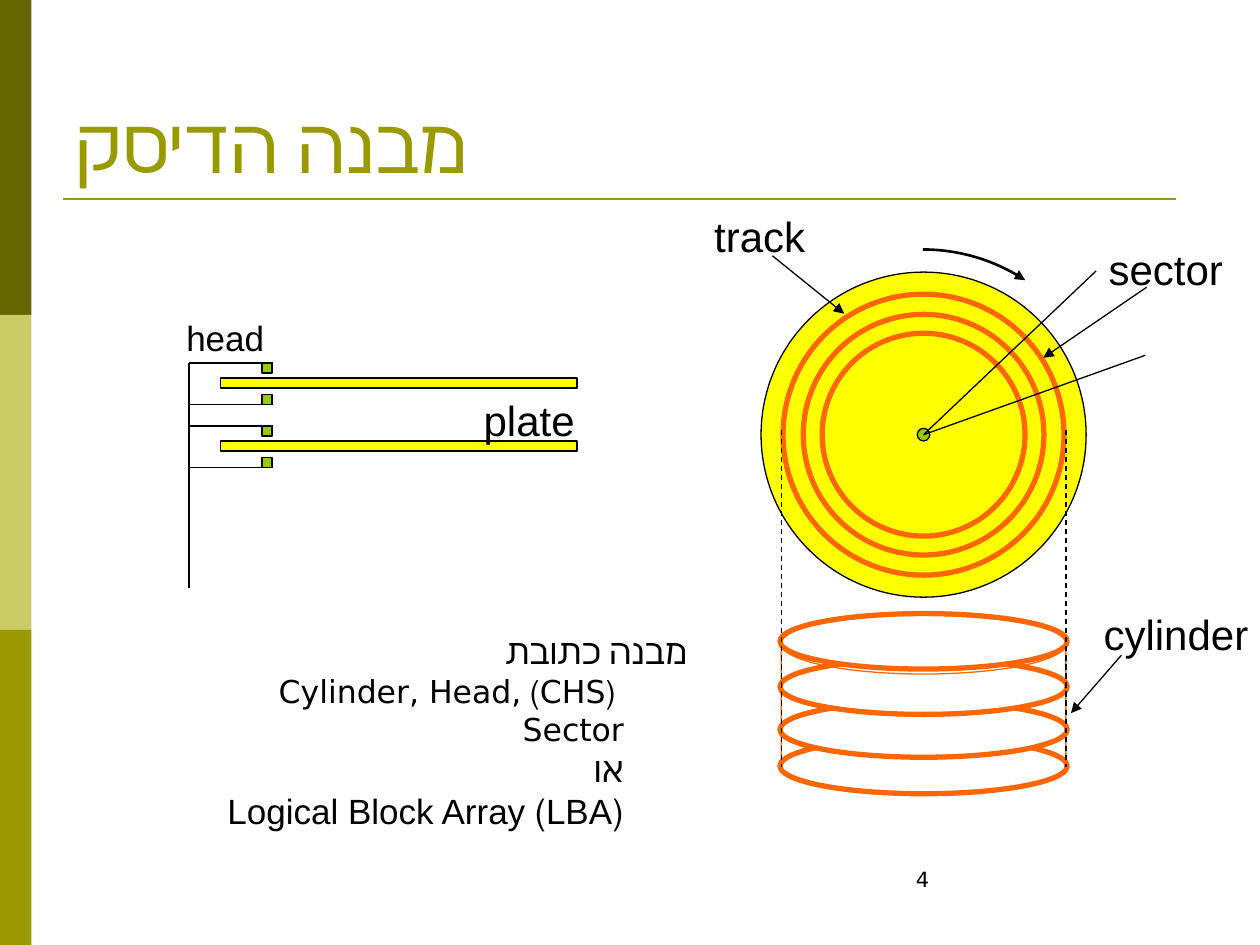
from lxml import etree
from pptx import Presentation
from pptx.dml.color import RGBColor
from pptx.enum.dml import MSO_LINE
from pptx.enum.shapes import MSO_CONNECTOR, MSO_SHAPE
from pptx.enum.text import MSO_ANCHOR, MSO_AUTO_SIZE, PP_ALIGN
from pptx.oxml.ns import qn
from pptx.util import Inches, Pt

BLACK = RGBColor(0x00, 0x00, 0x00)
WHITE = RGBColor(0xFF, 0xFF, 0xFF)
DARK_OLIVE = RGBColor(0x66, 0x66, 0x00)
PALE_OLIVE = RGBColor(0xCC, 0xCC, 0x66)
OLIVE = RGBColor(0x99, 0x99, 0x00)
YELLOW = RGBColor(0xFF, 0xFF, 0x00)
GREEN = RGBColor(0x99, 0xCC, 0x00)
ORANGE = RGBColor(0xFF, 0x66, 0x00)


def add_text(p, text, font="Arial", size=24, color=BLACK, align=PP_ALIGN.LEFT,
             rtl=False, indent=0):
    p.alignment = align
    pPr = p._p.get_or_add_pPr()
    if rtl:
        pPr.set("rtl", "1")
    if indent:
        pPr.set("marL", str(Inches(indent)))
        pPr.set("indent", "0")
    r = p.add_run()
    r.text = text
    r.font.name = font
    r.font.size = Pt(size)
    r.font.color.rgb = color


class DiskSlide:
    thin = 0.75
    thick = 3

    def __init__(self, prs):
        self.s = prs.slides.add_slide(prs.slide_layouts[6])

    def shape(self, kind, x, y, w, h, fill=None, line=None, width=thin):
        sp = self.s.shapes.add_shape(kind, Inches(x), Inches(y), Inches(w), Inches(h))
        sp.shadow.inherit = False
        if fill is None:
            sp.fill.background()
        else:
            sp.fill.solid()
            sp.fill.fore_color.rgb = fill
        if line is None:
            sp.line.fill.background()
        else:
            sp.line.color.rgb = line
            sp.line.width = Pt(width)
        return sp

    def rect(self, *box, **style):
        return self.shape(MSO_SHAPE.RECTANGLE, *box, **style)

    def ellipse(self, *box, **style):
        return self.shape(MSO_SHAPE.OVAL, *box, **style)

    def circle(self, cx, cy, d, **style):
        return self.ellipse(cx - d / 2, cy - d / 2, d, d, **style)

    def arrowhead(self, sp):
        etree.SubElement(sp.line._get_or_add_ln(), qn("a:tailEnd"), type="triangle")

    def line(self, x1, y1, x2, y2, color=BLACK, width=thin, dash=False, arrow=False):
        c = self.s.shapes.add_connector(MSO_CONNECTOR.STRAIGHT, Inches(x1), Inches(y1),
                                        Inches(x2), Inches(y2))
        c.line.color.rgb = color
        c.line.width = Pt(width)
        if dash:
            c.line.dash_style = MSO_LINE.DASH
        if arrow:
            self.arrowhead(c)
        etree.SubElement(c._element.spPr, qn("a:effectLst"))

    def box(self, x, y, w, h, wrap=True, anchor=MSO_ANCHOR.TOP):
        tf = self.s.shapes.add_textbox(Inches(x), Inches(y), Inches(w), Inches(h)).text_frame
        tf.word_wrap = wrap
        tf.vertical_anchor = anchor
        return tf

    def label(self, text, x, y, w, h=0.5, **style):
        tf = self.box(x, y, w, h, wrap=False)
        tf.auto_size = MSO_AUTO_SIZE.SHAPE_TO_FIT_TEXT
        add_text(tf.paragraphs[0], text, **style)


def main():
    prs = Presentation()
    prs.slide_width, prs.slide_height = Inches(10), Inches(7.5)
    d = DiskSlide(prs)

    # Side band, rule and title
    for i, color in enumerate((DARK_OLIVE, PALE_OLIVE, OLIVE)):
        d.rect(0, 2.5 * i, 0.25, 2.5, fill=color)
    d.line(0.5, 1.58, 9.33, 1.58, color=OLIVE, width=1.5)
    tf = d.box(0.5, 0.3, 9, 1.25, anchor=MSO_ANCHOR.BOTTOM)
    add_text(tf.paragraphs[0], "מבנה הדיסק", font="Times New Roman", size=44,
             color=OLIVE, rtl=True)

    # Side view: plates, each with a head above and below
    for y in (3, 3.5):
        d.rect(1.75, y, 2.83, 0.08, fill=YELLOW, line=BLACK)
        top = y - 0.12
        for head_y in (top, top + 0.25):
            d.rect(2.08, head_y, 0.08, 0.08, fill=GREEN, line=BLACK)
        for arm_y in (top, top + 0.33):
            d.line(1.5, arm_y, 2.17, arm_y)
    d.line(1.5, 2.88, 1.5, 4.67)
    d.label("head", 1.38, 2.46, 0.82, 0.44, size=20)

    # Top view: platter, tracks and spindle
    cx, cy = 7.33, 3.45
    d.circle(cx, cy, 2.58, fill=YELLOW, line=BLACK)
    for diameter in (2.23, 1.91, 1.61):
        d.circle(cx, cy, diameter, fill=YELLOW, line=ORANGE, width=d.thick)
    d.circle(cx, cy, 0.1, fill=GREEN, line=BLACK)

    # Sector edges and pointers
    d.line(cx, cy, 8.7, 2.15)
    d.line(cx, cy, 9.09, 2.82)
    d.line(9.1, 2.28, 8.28, 2.84, arrow=True)
    d.label("sector", 8.7, 1.88, 1.11)
    d.label("track", 5.57, 1.62, 0.92)
    d.line(6.13, 2.03, 6.7, 2.49, arrow=True)

    # Cylinder: stacked tracks, lowest first
    for y in (5.86, 5.57, 5.23, 4.87):
        d.ellipse(6.19, y, 2.28, 0.44, fill=WHITE, line=ORANGE, width=d.thick)
    d.shape(MSO_SHAPE.FLOWCHART_MAGNETIC_DISK, 6.2, 4.87, 2.26, 1.44, line=ORANGE)
    d.label("cylinder", 8.66, 4.78, 1.35)
    d.line(8.9, 5.2, 8.5, 5.66, arrow=True)
    for x in (6.2, 8.46):
        d.line(x, 3.41, x, 6.09, dash=True)

    # Rotation arrow: angles in degrees, clockwise from the right
    arc = d.shape(MSO_SHAPE.ARC, 5.85, 1.98, 2.95, 2.95, line=BLACK, width=1.5)
    for i, degrees in enumerate((270, 303.4)):
        arc.adjustments[i] = degrees * 0.6
    d.arrowhead(arc)

    # Address structure
    tf = d.box(1.47, 4.95, 4.08, 1.4)
    address = (("מבנה כתובת", "Arial", 20, 0),
               (" (CHS) Cylinder, Head, Sector", "DejaVu Sans", 18, 0.5),
               ("או", "Arial", 20, 0.5),
               ("(LBA) Logical Block Array", "Arial", 20, 0.5))
    for i, (text, font, size, indent) in enumerate(address):
        p = tf.add_paragraph() if i else tf.paragraphs[0]
        add_text(p, text, font=font, size=size, align=PP_ALIGN.RIGHT, rtl=True, indent=indent)

    d.label("plate", 3.74, 3.08, 0.92)

    # Slide number
    add_text(d.box(7.17, 6.83, 2.33, 0.5).paragraphs[0], "4", font="DejaVu Sans", size=12)

    prs.save("out.pptx")


if __name__ == "__main__":
    main()
